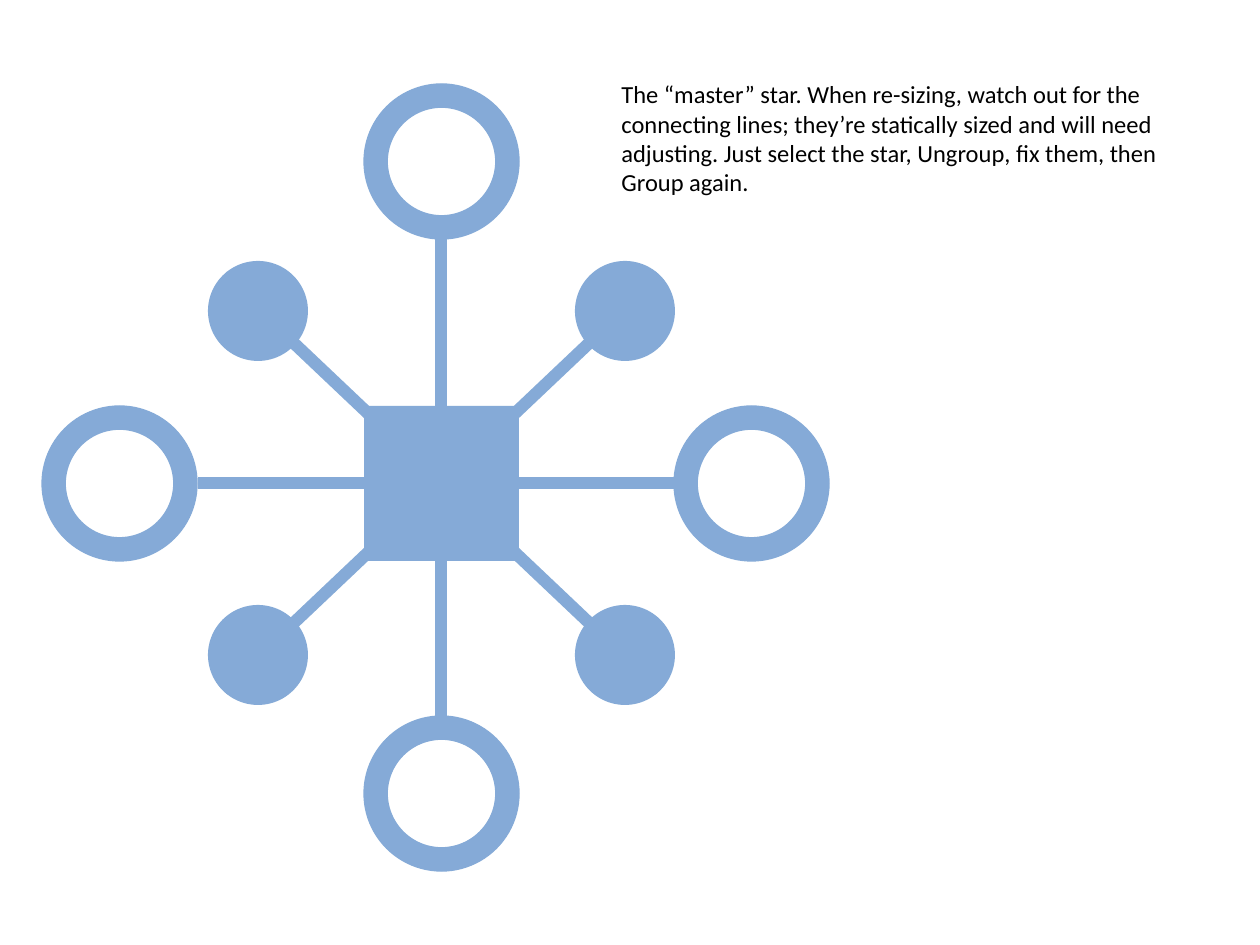
"""Build a slide with a hub-and-spoke star and a note on resizing it."""
import pptx
import pptx.util
import pptx.dml.color
import pptx.enum.shapes
import pptx.enum.text
import pptx.oxml

SCALE = 914400 / 126
COLORS = {"star": "85AAD7", "text": "000000"}
NOTE = (
    "The “master” star. When re-sizing, watch out for the connecting lines; "
    "they’re statically sized and will need adjusting. Just select the star, "
    "Ungroup, fix them, then Group again."
)


def emu(*sizes):
    return [round(size * SCALE) for size in sizes]


def paint(fill, name):
    fill.solid()
    fill.fore_color.rgb = pptx.dml.color.RGBColor.from_string(COLORS[name])


deck = pptx.Presentation()
deck.slide_width, deck.slide_height = emu(1260, 945)
slide = deck.slides.add_slide(deck.slide_layouts[6])
star = slide.shapes.add_group_shape()

spokes = [
    (198, 483, 674, 483),
    (441, 716, 441, 239),
    (223, 276, 660, 690),
    (223, 690, 660, 276),
]
for ends in spokes:
    spoke = star.shapes.add_connector(
        pptx.enum.shapes.MSO_CONNECTOR.STRAIGHT, *emu(*ends)
    )
    paint(spoke.line.fill, "star")
    spoke.line.width = pptx.util.Pt(7)
    spoke._element.spPr.append(
        pptx.oxml.parse_xml(
            '<a:effectLst xmlns:a="http://schemas.openxmlformats.org/drawingml/2006/main"/>'
        )
    )

kinds = pptx.enum.shapes.MSO_SHAPE
nodes = [
    (kinds.RECTANGLE, 155, [(364, 406)]),
    (kinds.DONUT, 155, [(364, 84), (42, 406), (364, 716), (674, 406)]),
    (kinds.OVAL, 100, [(208, 261), (575, 605), (208, 605), (575, 261)]),
]
for kind, size, spots in nodes:
    for left, top in spots:
        node = star.shapes.add_shape(kind, *emu(left, top, size, size))
        node.shadow.inherit = False
        paint(node.fill, "star")
        if kind == kinds.DONUT:
            node.adjustments[0] = 0.15
            paint(node.line.fill, "star")
            node.line.width = pptx.util.Pt(0.75)
        else:
            node.line.fill.background()

note = slide.shapes.add_textbox(*emu(609, 73, 577, 131))
frame = note.text_frame
frame.word_wrap = True
frame.auto_size = pptx.enum.text.MSO_AUTO_SIZE.SHAPE_TO_FIT_TEXT
para = frame.paragraphs[0]
run = para.add_run()
run.text = NOTE
style = {"name": "Calibri", "size": pptx.util.Pt(14)}
for key, value in style.items():
    setattr(run.font, key, value)
paint(run.font.fill, "text")

deck.save("out.pptx")
